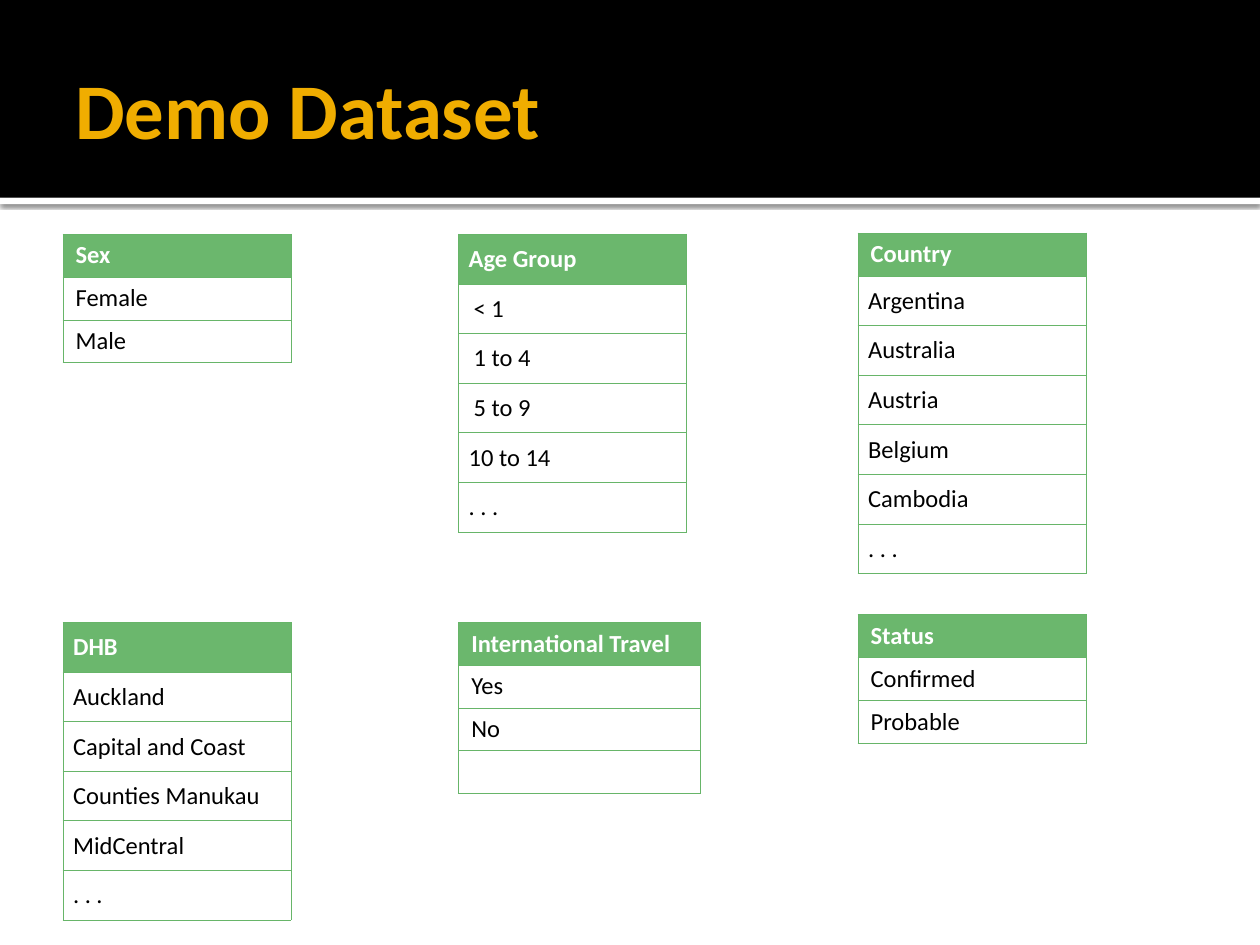
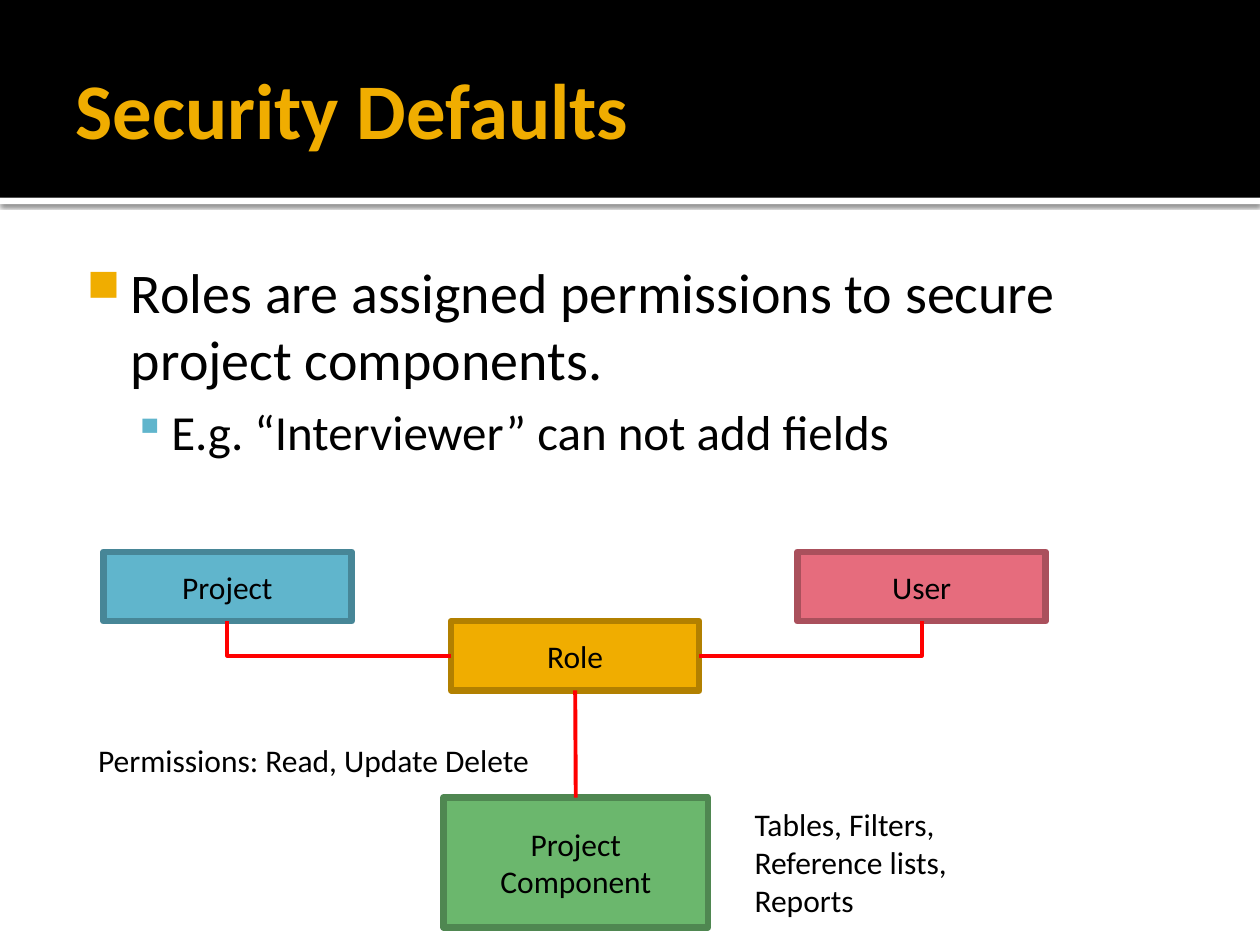
from dataclasses import dataclass

import pptx
import pptx.dml.color
import pptx.enum.shapes
import pptx.enum.text
import pptx.oxml.ns
import pptx.util
from lxml import etree

RGB = pptx.dml.color.RGBColor
BLACK = RGB(0x00, 0x00, 0x00)
WHITE = RGB(0xFF, 0xFF, 0xFF)
GOLD = RGB(0xF0, 0xAD, 0x00)
GOLD_EDGE = RGB(0xB2, 0x80, 0x00)
BLUE = RGB(0x60, 0xB5, 0xCC)
BLUE_EDGE = RGB(0x47, 0x86, 0x97)
ROSE = RGB(0xE6, 0x6C, 0x7D)
ROSE_EDGE = RGB(0xAA, 0x50, 0x5C)
GREEN = RGB(0x6B, 0xB7, 0x6D)
GREEN_EDGE = RGB(0x4F, 0x87, 0x51)
GRID = RGB(0x67, 0xB5, 0x69)
RED = RGB(0xFF, 0x00, 0x00)

FONT = "Calibri"
EMU_PER_PX = 9144
SLIDE_W, SLIDE_H = 1000, 750
BAND_H, STRIPE_H = 157, 5
ROW_H, PADDED_ROW_H = 34, 39
PAD = 8
TOP, LEFT, BOTTOM, RIGHT = range(4)
MIDDLE = pptx.enum.text.MSO_ANCHOR.MIDDLE
CENTER = pptx.enum.text.PP_ALIGN.CENTER
RECT = pptx.enum.shapes.MSO_SHAPE.RECTANGLE
CONNECTOR = pptx.enum.shapes.MSO_CONNECTOR


@dataclass(frozen=True)
class LookupTable:
    left: int
    top: int
    name: str
    values: tuple[str, ...]
    width: int = 181
    padded_header: bool = False
    padded_values: bool = False
    indented: int = 0


@dataclass(frozen=True)
class Box:
    text: str
    left: int
    top: int
    fill: RGB
    edge: RGB
    width: int = 197
    height: int = 55


@dataclass(frozen=True)
class Bullet:
    char: str
    color: RGB
    percent: int
    margin: int
    hanging: int


@dataclass(frozen=True)
class Link:
    start: str
    start_site: int
    end: str
    end_site: int
    bent: bool = True


LOOKUPS = (
    LookupTable(50, 186, "Sex", ("Female", "Male")),
    LookupTable(364, 186, "Age Group",
                ("< 1", "1 to 4", "5 to 9", "10 to 14", ". . ."),
                padded_header=True, padded_values=True, indented=3),
    LookupTable(50, 494, "DHB",
                ("Auckland", "Capital and Coast", "Counties Manukau",
                 "MidCentral", ". . ."),
                padded_header=True, padded_values=True),
    LookupTable(681, 185, "Country",
                ("Argentina", "Australia", "Austria", "Belgium", "Cambodia",
                 ". . ."),
                padded_values=True),
    LookupTable(681, 488, "Status", ("Confirmed", "Probable")),
    LookupTable(364, 494, "International Travel", ("Yes", "No", ""), width=192),
)

BOXES = (
    Box("Project Component", 352, 633, GREEN, GREEN_EDGE, 210, 103),
    Box("Project", 82, 438, BLUE, BLUE_EDGE),
    Box("Role", 358, 493, GOLD, GOLD_EDGE),
    Box("User", 633, 438, ROSE, ROSE_EDGE),
)

LINKS = (
    Link("Role", LEFT, "Project", BOTTOM),
    Link("Role", RIGHT, "User", BOTTOM),
    Link("Role", BOTTOM, "Project Component", TOP, bent=False),
)

SQUARE = Bullet("■", GOLD, 80, 48, 35)
SMALL_SQUARE = Bullet("▪", BLUE, 90, 80, 30)


def px(n: int) -> int:
    return pptx.util.Emu(n * EMU_PER_PX)


def add_xml(parent, tag: str, **attrs):
    return etree.SubElement(parent, pptx.oxml.ns.qn(tag), attrs)


def add_color(parent, color: RGB):
    return add_xml(parent, "a:srgbClr", val=str(color))


def write(p, text: str, *, size: int, color: RGB = BLACK, bold: bool = False,
          align=None, bullet: Bullet | None = None, before: float = 0) -> None:
    if bullet:
        pPr = p._p.get_or_add_pPr()
        pPr.set("marL", str(px(bullet.margin)))
        pPr.set("indent", str(-px(bullet.hanging)))
        add_color(add_xml(pPr, "a:buClr"), bullet.color)
        add_xml(pPr, "a:buSzPct", val=str(bullet.percent * 1000))
        add_xml(pPr, "a:buChar", char=bullet.char)
    if before:
        p.space_before = pptx.util.Pt(before)
    if align is not None:
        p.alignment = align
    if not text:
        add_xml(p._p, "a:endParaRPr", sz=str(size * 100))
        return
    r = p.add_run()
    r.text = text
    r.font.name = FONT
    r.font.size = pptx.util.Pt(size)
    r.font.bold = bold
    r.font.color.rgb = color


def set_margins(target, left: int, top: int, right: int, bottom: int) -> None:
    target.margin_left, target.margin_top = px(left), px(top)
    target.margin_right, target.margin_bottom = px(right), px(bottom)


def add_text_frame(slide, left: int, top: int, width: int, height: int):
    sp = slide.shapes.add_textbox(px(left), px(top), px(width), px(height))
    tf = sp.text_frame
    tf.word_wrap = True
    return tf


def add_rect(slide, left: int, top: int, width: int, height: int, fill: RGB):
    sp = slide.shapes.add_shape(RECT, px(left), px(top), px(width), px(height))
    sp.shadow.inherit = False
    sp.fill.solid()
    sp.fill.fore_color.rgb = fill
    sp.line.fill.background()
    return sp


def add_titled_slide(prs, title: str):
    slide = prs.slides.add_slide(prs.slide_layouts[6])
    stripe = add_rect(slide, 0, BAND_H, SLIDE_W, STRIPE_H, WHITE)
    effects = stripe._element.spPr.find(pptx.oxml.ns.qn("a:effectLst"))
    shadow = add_xml(effects, "a:outerShdw", blurRad="31750", dist="10160",
                     dir="5400000", algn="tl", rotWithShape="0")
    add_xml(add_color(shadow, BLACK), "a:alpha", val="60000")
    add_rect(slide, 0, 0, SLIDE_W, BAND_H, BLACK)
    tf = add_text_frame(slide, 50, 17, 900, 137)
    tf.vertical_anchor = MIDDLE
    set_margins(tf, 10, 5, 5, 5)
    write(tf.paragraphs[0], title, size=45, color=GOLD, bold=True)
    return slide


def set_borders(cell) -> None:
    tcPr = cell._tc.get_or_add_tcPr()
    for i, side in enumerate(("lnL", "lnR", "lnT", "lnB")):
        ln = etree.Element(pptx.oxml.ns.qn(f"a:{side}"), w="6350")
        add_color(add_xml(ln, "a:solidFill"), GRID)
        tcPr.insert(i, ln)


def add_lookup(slide, lookup: LookupTable) -> None:
    texts = (lookup.name, *lookup.values)
    padded = [lookup.padded_header] + [lookup.padded_values] * len(lookup.values)
    heights = [PADDED_ROW_H if pad else ROW_H for pad in padded]
    table = slide.shapes.add_table(
        len(texts), 1, px(lookup.left), px(lookup.top),
        px(lookup.width), px(sum(heights))).table
    table.horz_banding = False
    for i, text in enumerate(texts):
        header = i == 0
        table.rows[i].height = px(heights[i])
        cell = table.cell(i, 0)
        cell.fill.solid()
        cell.fill.fore_color.rgb = GREEN if header else WHITE
        set_borders(cell)
        if padded[i]:
            indent = 4 if 1 <= i <= lookup.indented else 0
            set_margins(cell, PAD + indent, PAD, PAD, PAD)
            if not header:
                cell.vertical_anchor = MIDDLE
        write(cell.text_frame.paragraphs[0], text, size=14, bold=header,
              color=WHITE if header else BLACK)


def add_box(slide, box: Box):
    sp = add_rect(slide, box.left, box.top, box.width, box.height, box.fill)
    sp.line.color.rgb = box.edge
    sp.line.width = pptx.util.Pt(3.78)
    add_xml(sp.line._get_or_add_ln(), "a:round")
    tf = sp.text_frame
    tf.word_wrap = True
    tf.vertical_anchor = MIDDLE
    write(tf.paragraphs[0], box.text, size=18, align=CENTER)
    return sp


def add_link(slide, link: Link, shapes: dict) -> None:
    kind = CONNECTOR.ELBOW if link.bent else CONNECTOR.STRAIGHT
    line = slide.shapes.add_connector(kind, 0, 0, 0, 0)
    line.begin_connect(shapes[link.start], link.start_site)
    line.end_connect(shapes[link.end], link.end_site)
    spPr = line._element.spPr
    if link.bent:
        spPr.find(pptx.oxml.ns.qn("a:prstGeom")).set("prst", "bentConnector2")
    line.line.color.rgb = RED
    line.line.width = pptx.util.Pt(2.25)
    add_xml(spPr, "a:effectLst")


def add_note(slide, text: str, left: int, top: int, width: int, height: int) -> None:
    tf = add_text_frame(slide, left, top, width, height)
    write(tf.paragraphs[0], text, size=18)


def build_dataset(prs) -> None:
    slide = add_titled_slide(prs, "Demo Dataset")
    for lookup in LOOKUPS:
        add_lookup(slide, lookup)


def build_security(prs) -> None:
    slide = add_titled_slide(prs, "Security Defaults")
    tf = add_text_frame(slide, 50, 194, 900, 506)
    set_margins(tf, 6, 10, 10, 5)
    write(tf.paragraphs[0],
          "Roles are assigned permissions to secure project components.",
          size=32, bullet=SQUARE)
    p = tf.add_paragraph()
    p.level = 1
    write(p, "E.g. “Interviewer” can not add fields",
          size=28, bullet=SMALL_SQUARE, before=5.6)
    shapes = {box.text: add_box(slide, box) for box in BOXES}
    for link in LINKS:
        add_link(slide, link, shapes)
    add_note(slide, "Tables, Filters, Reference lists, Reports", 589, 634, 242, 101)
    add_note(slide, "Permissions: Read, Update Delete", 68, 583, 370, 40)


def main() -> None:
    prs = pptx.Presentation()
    prs.slide_width, prs.slide_height = px(SLIDE_W), px(SLIDE_H)
    build_dataset(prs)
    build_security(prs)
    prs.save("out.pptx")


if __name__ == "__main__":
    main()
